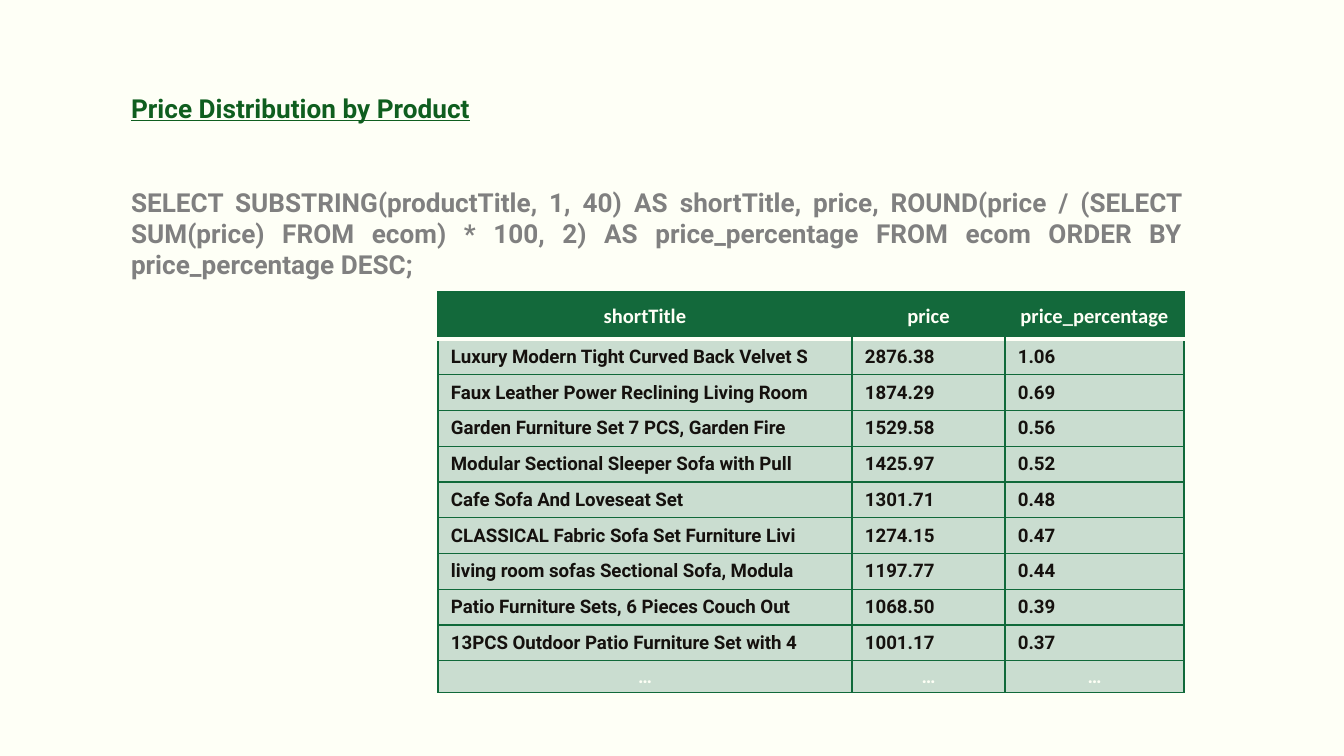
from lxml import etree
from pptx import Presentation
from pptx.dml.color import RGBColor
from pptx.enum.text import MSO_ANCHOR, MSO_AUTO_SIZE, PP_ALIGN
from pptx.oxml.ns import qn
from pptx.util import Pt

LEFT, CENTER, JUSTIFY = PP_ALIGN.LEFT, PP_ALIGN.CENTER, PP_ALIGN.JUSTIFY
TOP, MIDDLE = MSO_ANCHOR.TOP, MSO_ANCHOR.MIDDLE
NO_FIT = MSO_AUTO_SIZE.NONE

PX = 914400 / 134.4
COLORS = {
    "page": "FEFFF6",
    "title": "0F5E1F",
    "query": "808080",
    "head": "13693B",
    "line": "10693A",
    "cell": "CADDD0",
    "ink": "15110E",
}
QUERY = (
    "SELECT SUBSTRING(productTitle, 1, 40) AS shortTitle, price, "
    "ROUND(price / (SELECT SUM(price) FROM ecom) * 100, 2) AS price_percentage "
    "FROM ecom ORDER BY price_percentage DESC;"
)
HEADS = ["shortTitle", "price", "price_percentage"]
ITEMS = [
    ["Luxury Modern Tight Curved Back Velvet S", "2876.38", "1.06"],
    ["Faux Leather Power Reclining Living Room", "1874.29", "0.69"],
    ["Garden Furniture Set 7 PCS, Garden Fire", "1529.58", "0.56"],
    ["Modular Sectional Sleeper Sofa with Pull", "1425.97", "0.52"],
    ["Cafe Sofa And Loveseat Set", "1301.71", "0.48"],
    ["CLASSICAL Fabric Sofa Set Furniture Livi", "1274.15", "0.47"],
    ["living room sofas Sectional Sofa, Modula", "1197.77", "0.44"],
    ["Patio Furniture Sets, 6 Pieces Couch Out", "1068.50", "0.39"],
    ["13PCS Outdoor Patio Furniture Set with 4", "1001.17", "0.37"],
]
MORE = ["…"] * 3


def emu(px):
    return round(px * PX)


def rgb(name):
    return RGBColor.from_string(COLORS[name])


class Deck:
    def __init__(self, wide, high):
        self.prs = Presentation()
        self.prs.slide_width, self.prs.slide_height = emu(wide), emu(high)
        self.slide = self.prs.slides.add_slide(self.prs.slide_layouts[1])
        fill = self.slide.background.fill
        fill.solid()
        fill.fore_color.rgb = rgb("page")

    def style(self, para, size, color, align=LEFT, face="Roboto"):
        para.alignment = align
        font = para.font
        font.name, font.size, font.bold = face, Pt(size), True
        font.color.rgb = rgb(color)

    def pad(self, box, side, ends):
        box.margin_left = box.margin_right = emu(side)
        box.margin_top = box.margin_bottom = emu(ends)

    def text(self, index, words, area, color, align=LEFT):
        """Fill and move a placeholder; return its paragraph."""
        shape = self.slide.placeholders[index]
        shape.left, shape.top, shape.width, shape.height = map(emu, area)
        frame = shape.text_frame
        frame.text = words
        frame.auto_size, frame.word_wrap = NO_FIT, True
        frame.vertical_anchor = TOP
        self.pad(frame, 13, 13)
        para = frame.paragraphs[0]
        self.style(para, 14, color, align)
        para.space_before = Pt(0)
        return para

    def title(self, words, area):
        self.text(0, words, area, "title").font.underline = True

    def body(self, words, area):
        para = self.text(1, words, area, "query", JUSTIFY)
        props = para._p.get_or_add_pPr()
        props.set("marL", "0")
        props.set("indent", "0")
        props.insert_element_before(
            props.makeelement(qn("a:buNone"), {}), "a:tabLst", "a:defRPr", "a:extLst"
        )

    def edge(self, cell, side, color, width):
        """Draw one cell border, or hide it when color is None."""
        props = cell._tc.get_or_add_tcPr()
        line = etree.Element(qn(f"a:ln{side}"), w=str(Pt(width)))
        if color:
            fill = etree.SubElement(line, qn("a:solidFill"))
            etree.SubElement(fill, qn("a:srgbClr"), val=COLORS[color])
        else:
            etree.SubElement(line, qn("a:noFill"))
        props.insert_element_before(line, "a:solidFill")

    def cell(self, cell, words, fill):
        cell.text = words
        cell.vertical_anchor = MIDDLE
        cell.fill.solid()
        cell.fill.fore_color.rgb = rgb(fill)
        return cell.text_frame.paragraphs[0]

    def table(self, rows, left, top, cols, highs):
        frame = self.slide.shapes.add_table(
            len(rows), len(cols), emu(left), emu(top), emu(sum(cols)), emu(sum(highs))
        )
        table = frame.table
        table.first_row = table.horz_banding = False
        for col, width in zip(table.columns, cols):
            col.width = emu(width)
        last = len(rows) - 1
        for r, row in enumerate(rows):
            table.rows[r].height = emu(highs[r])
            for c, words in enumerate(row):
                cell = table.cell(r, c)
                para = self.cell(cell, words, "cell" if r else "head")
                if r == 0:
                    self.style(para, 11, "page", CENTER, "Calibri")
                    para.line_spacing = 1.07
                    self.pad(cell, 9, 0)
                elif r == last:
                    self.style(para, 10, "page", CENTER)
                    self.pad(cell, 9, 5)
                else:
                    self.style(para, 10, "ink")
                    self.pad(cell, 13, 7)
                inner = "line" if r else None
                self.edge(cell, "L", inner if c else "line", 0.75)
                self.edge(cell, "R", inner if c < len(cols) - 1 else "line", 0.75)
                self.edge(cell, "T", *(("page", 2) if r == 1 else ("line", 0.75)))
                self.edge(cell, "B", *(("line", 0.75) if r else ("page", 2)))


def main():
    deck = Deck(1344, 756)
    deck.title("Price Distribution by Product", (118, 79, 1121, 56))
    deck.body(QUERY, (118, 173, 1078, 101))
    rows = [HEADS, *ITEMS, MORE]
    highs = [47] + [35] * len(ITEMS) + [31]
    deck.table(rows, 438, 292, [414, 153, 179], highs)
    deck.prs.save("out.pptx")


if __name__ == "__main__":
    main()
